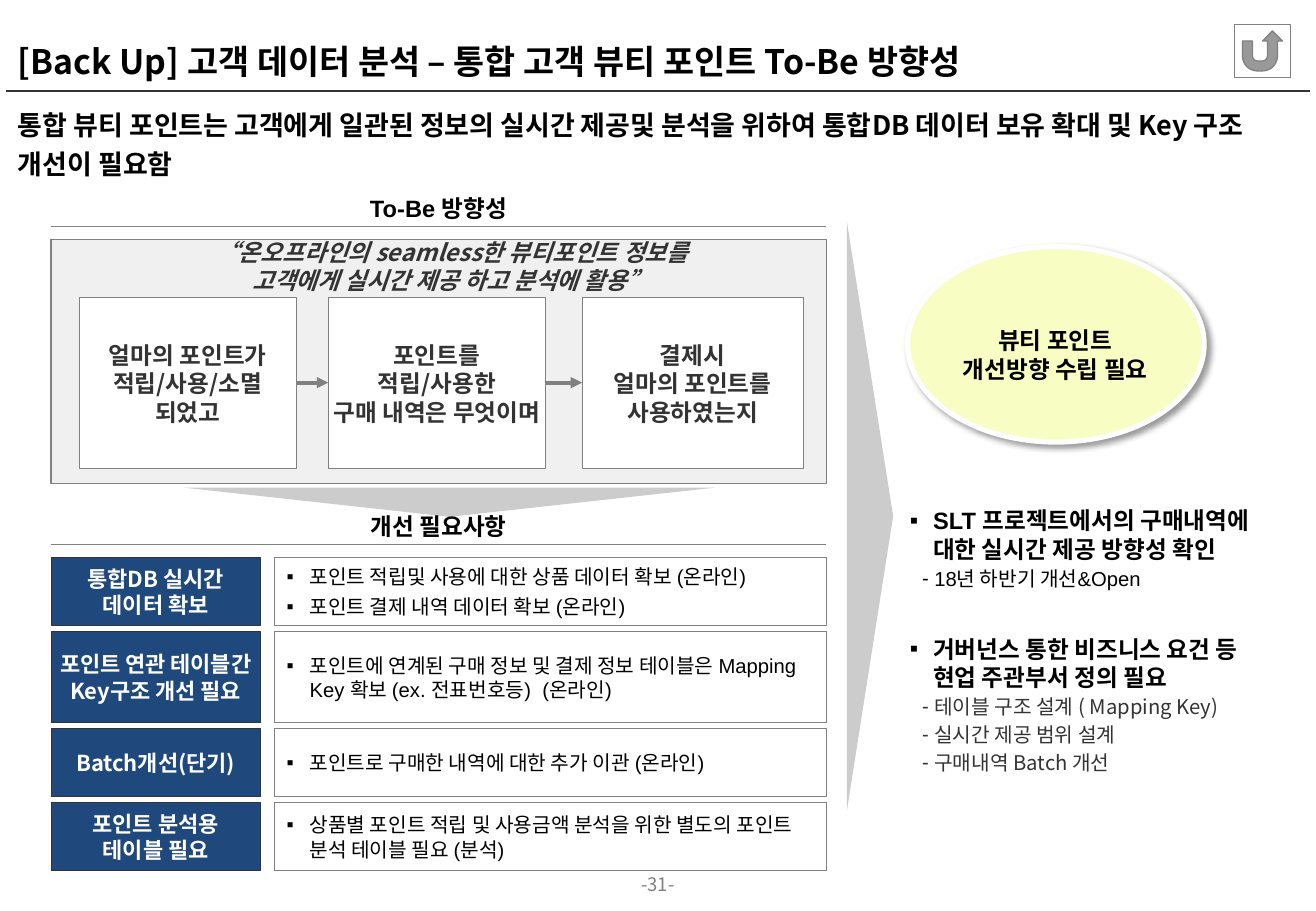
from collections import namedtuple

from lxml import etree
from pptx import Presentation
from pptx import util as u
from pptx.dml.color import RGBColor
from pptx.enum import shapes, text
from pptx.oxml import ns

COLUMNS, ROWS = 1083, 750
CELL = u.Inches(0.01)
SANS, ARIAL = "Noto Sans CJK KR", "Arial"
COLORS = {"black": "000000", "ink": "333333", "gray": "808080", "arrow": "CCCCCC",
          "panel": "F0F0F0", "navy": "1F497D", "lemon": "F7FDC3", "white": "FFFFFF"}
KIND = shapes.MSO_SHAPE
CENTER, LEFT = text.PP_ALIGN.CENTER, text.PP_ALIGN.LEFT
MIDDLE, TOP = text.MSO_ANCHOR.MIDDLE, text.MSO_ANCHOR.TOP
INSETS, LABEL_INSETS, HEADING_INSETS = (10, 5, 10, 5), (4, 0, 4, 0), (4, 4, 4, 4)

# All boxes are in columns and rows of the slide grid.
Box = namedtuple("Box", "left top width height")
Style = namedtuple("Style", "size font color bold italic", defaults=(False, False))

STEPS = [(23, 179, ["얼마의 포인트가 적립/사용/소멸 되었고"]),
         (228, 179, ["포인트를", "적립/사용한", "구매 내역은 무엇이며"]),
         (437, 182, ["결제시", "얼마의 포인트를 사용하였는지"])]
NEEDS = [
    (56, ["통합DB 실시간 데이터 확보"],
     ["포인트 적립및 사용에 대한 상품 데이터 확보 (온라인)", "포인트 결제 내역 데이터 확보 (온라인)"]),
    (75, ["포인트 연관 테이블간 Key구조 개선 필요"],
     ["포인트에 연계된 구매 정보 및 결제 정보 테이블은 Mapping Key 확보 (ex. 전표번호등)  (온라인)"]),
    (56, ["Batch개선(단기)"], ["포인트로 구매한 내역에 대한 추가 이관 (온라인)"]),
    (56, ["포인트 분석용", "테이블 필요"],
     ["상품별 포인트 적립 및 사용금액 분석을 위한 별도의 포인트 분석 테이블 필요 (분석)"]),
]


def rgb(name):
    return RGBColor.from_string(COLORS[name])


def emu(box):
    return [value * CELL for value in box]


def element(parent, tag, **attributes):
    return etree.SubElement(parent, ns.qn(tag), attributes)


def add_bullet(paragraph, mark, margin, hanging):
    properties = paragraph._p.get_or_add_pPr()
    properties.set("marL", str(margin * CELL))
    properties.set("indent", str(-hanging * CELL))
    element(properties, "a:buFont", typeface=ARIAL)
    element(properties, "a:buChar", char=mark)


def write(shape, lines, style, align=CENTER, anchor=MIDDLE, insets=INSETS, wrap=True,
          before=0, after=0, spacing=None, bullet=None):
    """Write one paragraph per line; a line may be a (text, style, bullet) tuple."""
    frame = shape.text_frame
    frame.word_wrap, frame.vertical_anchor = wrap, anchor
    (frame.margin_left, frame.margin_top,
     frame.margin_right, frame.margin_bottom) = emu(insets)
    for index, line in enumerate(lines):
        words, look, mark = line if isinstance(line, tuple) else (line, style, bullet)
        paragraph = frame.paragraphs[0] if index == 0 else frame.add_paragraph()
        if mark:
            add_bullet(paragraph, *mark)
        paragraph.alignment = align
        paragraph.space_before = u.Pt(before if index else 0)
        paragraph.space_after = u.Pt(after)
        if spacing:
            paragraph.line_spacing = spacing
        run = paragraph.add_run()
        run.text = words
        font = run.font
        font.size, font.name = u.Pt(look.size), look.font
        font.bold, font.italic = look.bold, look.italic
        font.color.rgb = rgb(look.color)
        element(run._r.get_or_add_rPr(), "a:ea", typeface=SANS)


def add_text(slide, box, lines, style, **layout):
    write(slide.shapes.add_textbox(*emu(box)), lines, style, **layout)


def add_block(slide, kind, box, fill, line=None, weight=0.75):
    shape = slide.shapes.add_shape(kind, *emu(box))
    shape.shadow.inherit = False
    shape.fill.solid()
    shape.fill.fore_color.rgb = rgb(fill)
    if line:
        shape.line.color.rgb = rgb(line)
        shape.line.width = u.Pt(weight)
    else:
        shape.line.fill.background()
    return shape


def add_rule(slide, left, right, row, color="gray", weight=0.75, arrow=False):
    rule = slide.shapes.add_connector(shapes.MSO_CONNECTOR.STRAIGHT,
                                      *emu((left, row, right, row)))
    rule.line.color.rgb = rgb(color)
    rule.line.width = u.Pt(weight)
    if arrow:
        element(rule.line._get_or_add_ln(), "a:tailEnd", type="triangle")
    element(rule._element.spPr, "a:effectLst")


def add_wedge(slide, box, rotation=0):
    wedge = add_block(slide, KIND.RIGHT_ARROW, box, "arrow")
    wedge.adjustments[0] = wedge.adjustments[1] = 1
    wedge.rotation = rotation


def add_soft_shadow(shape):
    effects = shape._element.spPr.find(ns.qn("a:effectLst"))
    shadow = element(effects, "a:outerShdw", blurRad=str(u.Pt(4)), dist=str(u.Pt(3)),
                     dir="2700000", algn="tl", rotWithShape="0")
    element(element(shadow, "a:srgbClr", val=COLORS["black"]), "a:alpha", val="40000")


def draw_frame(slide, box):
    """Title, key message, return button and page number."""
    right = box.left + box.width
    add_text(slide, Box(box.left, 5, box.width, 67),
             ["[Back Up] 고객 데이터 분석 – 통합 고객 뷰티 포인트 To-Be 방향성"],
             Style(20, SANS, "black", True), align=LEFT,
             anchor=text.MSO_ANCHOR.BOTTOM, spacing=0.85)
    add_rule(slide, box.left, right, 75, "ink", 1)
    add_text(slide, Box(box.left, 79, box.width, 76),
             ["통합 뷰티 포인트는 고객에게 일관된 정보의 실시간 제공및 분석을 위하여 "
              "통합DB 데이터 보유 확대 및 Key 구조 개선이 필요함"],
             Style(16, SANS, "black", True), align=LEFT, anchor=TOP, spacing=1.2, after=9)
    add_block(slide, KIND.ACTION_BUTTON_RETURN, Box(right - 62, 20, 46, 44), "white", "gray")
    add_text(slide, Box(499, 719, 85, 22), ["-31-"], Style(11, SANS, "gray"),
             anchor=TOP, insets=(0, 0, 0, 0))


def draw_heading(slide, box, words):
    add_text(slide, Box(box.left + 145, box.top, 348, 32), [words],
             Style(14, ARIAL, "black", True), insets=HEADING_INSETS, before=3, after=3)
    add_rule(slide, box.left, box.left + box.width, box.top + 31.5)


def draw_direction(slide, box):
    """Heading, quotation and the chain of three question boxes."""
    draw_heading(slide, box, "To-Be 방향성")
    add_block(slide, KIND.RECTANGLE, Box(box.left, box.top + 42, box.width, 201),
              "panel", "gray")
    add_text(slide, Box(box.left + 28, box.top + 43, 604, 42),
             ["“온오프라인의 seamless한 뷰티포인트 정보를", "고객에게 실시간 제공 하고 분석에 활용”"],
             Style(14, SANS, "ink", True, True), wrap=False)
    previous = None
    for offset, width, lines in STEPS:
        left = box.left + offset
        step = add_block(slide, KIND.RECTANGLE, Box(left, box.top + 90, width, 141),
                         "white", "gray", 0.5)
        write(step, lines, Style(14, SANS, "ink", True), insets=LABEL_INSETS)
        if previous:
            add_rule(slide, previous, left, box.top + 160, weight=2.25, arrow=True)
        previous = left + width


def draw_needs(slide, box):
    """Heading and one label with its bullets per needed improvement."""
    draw_heading(slide, box, "개선 필요사항")
    label_width, text_offset, gap = 172, 184, 5
    top = box.top + 42
    for height, label, details in NEEDS:
        name = add_block(slide, KIND.RECTANGLE, Box(box.left, top, label_width, height),
                         "navy", "ink", 0.5)
        write(name, label, Style(13, SANS, "white", True), insets=LABEL_INSETS)
        detail = add_block(slide, KIND.RECTANGLE,
                           Box(box.left + text_offset, top, box.width - text_offset, height),
                           "white", "gray")
        write(detail, details, Style(12, ARIAL, "black"), align=LEFT, after=3,
              bullet=("▪", 19, 19))
        top += height + gap


def draw_conclusion(slide, box):
    """Highlighted ellipse above two groups of findings."""
    ellipse = add_block(slide, KIND.OVAL, Box(box.left + 8, box.top, 244, 161),
                        "lemon", "white", 3)
    add_soft_shadow(ellipse)
    add_text(slide, Box(box.left + 38, box.top + 32, 183, 114),
             ["뷰티 포인트 개선방향 수립 필요"], Style(14, SANS, "black", True),
             insets=(8, 4, 8, 4))
    lead = Style(14, ARIAL, "black", True)
    square, dash = ("▪", 19, 19), ("-", 20, 10)
    groups = [
        (202, 93, "SLT 프로젝트에서의 구매내역에 대한 실시간 제공 방향성 확인",
         Style(12, ARIAL, "black"), ["18년 하반기 개선&Open"]),
        (303, 148, "거버넌스 통한 비즈니스 요건 등 현업 주관부서 정의 필요",
         Style(12, SANS, "ink"),
         ["테이블 구조 설계 ( Mapping Key)", "실시간 제공 범위 설계", "구매내역 Batch 개선"]),
    ]
    for offset, height, finding, style, items in groups:
        lines = [(finding, lead, square)] + [(item, style, dash) for item in items]
        add_text(slide, Box(box.left, box.top + offset, box.width, height), lines, lead,
                 align=LEFT, after=2)


def main():
    presentation = Presentation()
    presentation.slide_width, presentation.slide_height = COLUMNS * CELL, ROWS * CELL
    slide = presentation.slides.add_slide(presentation.slide_layouts[6])
    draw_frame(slide, Box(5, 5, 1073, 736))
    add_wedge(slide, Box(697, 183, 38, 484))
    add_wedge(slide, Box(358, 195, 24, 437), rotation=90)
    draw_direction(slide, Box(42, 155, 638, 243))
    draw_needs(slide, Box(42, 417, 638, 299))
    draw_conclusion(slide, Box(739, 203, 301, 451))
    presentation.save("out.pptx")


if __name__ == "__main__":
    main()
